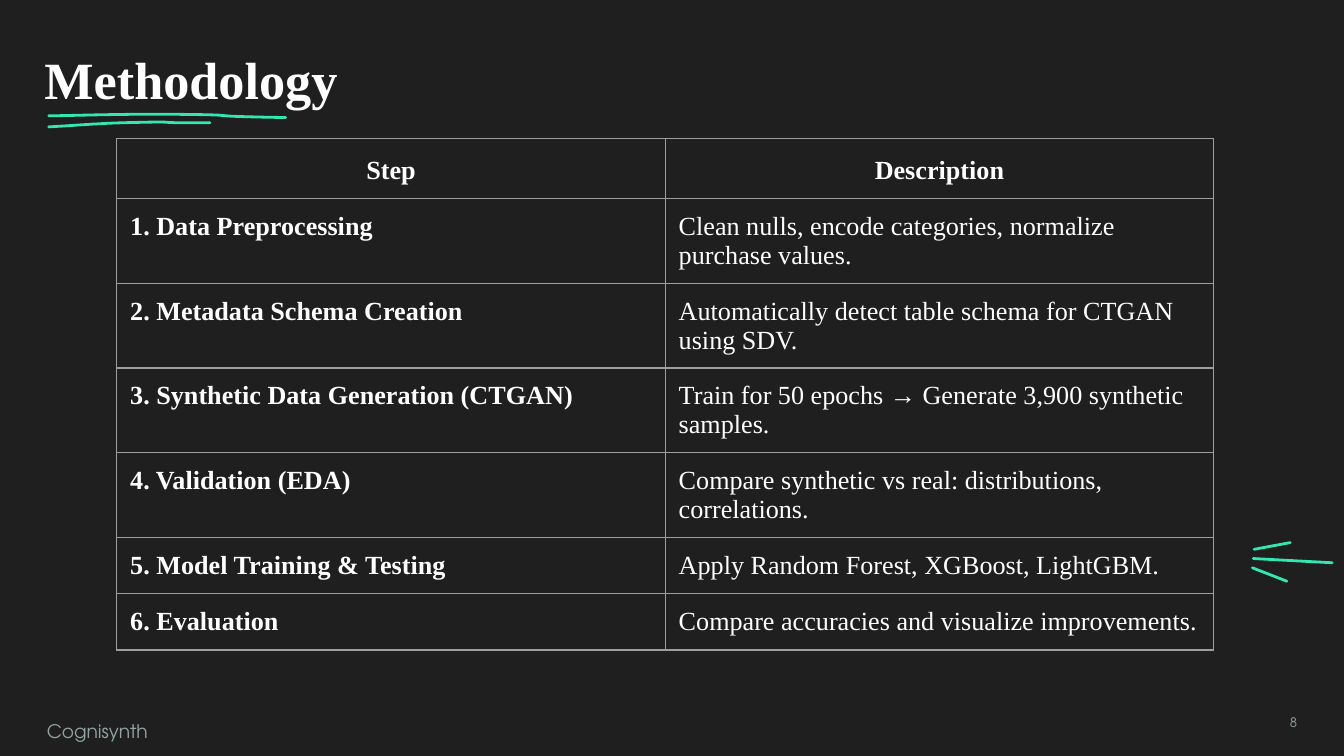
from dataclasses import dataclass

from lxml import etree
from pptx import Presentation
from pptx import util as u
from pptx.dml.color import RGBColor
from pptx.enum import shapes, text
from pptx.oxml import ns

PX = 5715


@dataclass(frozen=True)
class Theme:
    background: str = "1F1F1F"
    ink: str = "FFFFFF"
    muted: str = "93A2A2"
    accent: str = "30E8B0"
    border: str = "9E9E9E"
    serif: str = "Times New Roman"
    sans: str = "TeX Gyre Adventor"
    title_size: int = 28
    table_size: int = 14
    footer_size: int = 10
    number_size: int = 7
    stroke: float = 1.5
    border_width: float = 0.75
    inset: int = 16


THEME = Theme()

STEPS = [
    ("Step", "Description"),
    ("1. Data Preprocessing", "Clean nulls, encode categories, normalize purchase values."),
    ("2. Metadata Schema Creation", "Automatically detect table schema for CTGAN using SDV."),
    ("3. Synthetic Data Generation (CTGAN)", "Train for 50 epochs → Generate 3,900 synthetic samples."),
    ("4. Validation (EDA)", "Compare synthetic vs real: distributions, correlations."),
    ("5. Model Training & Testing", "Apply Random Forest, XGBoost, LightGBM."),
    ("6. Evaluation", "Compare accuracies and visualize improvements."),
]


def px(*values):
    return [u.Emu(round(value * PX)) for value in values]


def color(value):
    return RGBColor.from_string(value)


def write(frame, content, *, font=THEME.serif, size=THEME.table_size, ink=THEME.ink,
          bold=False, align=text.PP_ALIGN.LEFT, spacing=1.0):
    paragraph = frame.paragraphs[0]
    paragraph.alignment = align
    paragraph.line_spacing = spacing
    run = paragraph.add_run()
    run.text = content
    run.font.name = font
    run.font.size = u.Pt(size)
    run.font.bold = bold
    run.font.color.rgb = color(ink)


def set_insets(holder):
    inset = u.Emu(THEME.inset * PX)
    holder.margin_left = holder.margin_right = inset
    holder.margin_top = holder.margin_bottom = inset


def prepare_frame(frame):
    set_insets(frame)
    frame.word_wrap = True
    frame.auto_size = text.MSO_AUTO_SIZE.NONE
    frame.vertical_anchor = text.MSO_ANCHOR.TOP


def add_label(slide, box, content, **style):
    shape = slide.shapes.add_textbox(*px(*box))
    prepare_frame(shape.text_frame)
    write(shape.text_frame, content, **style)


def add_title(slide, box, content):
    title = slide.shapes.title
    title.left, title.top, title.width, title.height = px(*box)
    prepare_frame(title.text_frame)
    write(title.text_frame, content, size=THEME.title_size, bold=True)


def style_stroke(shape):
    shape.line.color.rgb = color(THEME.accent)
    shape.line.width = u.Pt(THEME.stroke)
    properties = shape.element.spPr
    properties.find(ns.qn("a:ln")).set("cap", "rnd")
    if properties.find(ns.qn("a:effectLst")) is None:
        etree.SubElement(properties, ns.qn("a:effectLst"))


def bezier(points, steps=16):
    for step in range(1, steps + 1):
        t = step / steps
        weights = ((1 - t) ** 3, 3 * t * (1 - t) ** 2, 3 * t * t * (1 - t), t ** 3)
        yield tuple(sum(w * point[axis] for w, point in zip(weights, points))
                    for axis in (0, 1))


def add_underline(slide, left, top):
    strokes = [
        [(0, 15), (37, 13), (56, 11), (93, 10), (174, 8), (109, 11), (192, 10)],
        [(0, 2), (53, 1), (83, 0), (136, 0), (256, 1), (158, 2), (282, 4)],
    ]
    group = slide.shapes.add_group_shape()
    for stroke in strokes:
        points = [px(left + x, top + y) for x, y in stroke]
        builder = group.shapes.build_freeform(*points[0])
        for start in (0, 3):
            builder.add_line_segments(list(bezier(points[start:start + 4])), close=False)
        shape = builder.convert_to_shape()
        shape.fill.background()
        style_stroke(shape)


def add_spark(slide, left, top):
    rays = [(0, 30, 41, 46), (1, 19, 95, 24), (2, 8, 45, 0)]
    group = slide.shapes.add_group_shape()
    for x1, y1, x2, y2 in rays:
        ends = px(left + x1, top + y1, left + x2, top + y2)
        style_stroke(group.shapes.add_connector(shapes.MSO_CONNECTOR.STRAIGHT, *ends))


def add_borders(cell):
    properties = cell._tc.get_or_add_tcPr()
    for index, side in enumerate(("lnL", "lnR", "lnT", "lnB")):
        line = etree.Element(ns.qn(f"a:{side}"), w=str(int(u.Pt(THEME.border_width))))
        fill = etree.SubElement(line, ns.qn("a:solidFill"))
        etree.SubElement(fill, ns.qn("a:srgbClr"), val=THEME.border)
        properties.insert(index, line)


def add_steps_table(slide, box, rows):
    table = slide.shapes.add_table(len(rows), len(rows[0]), *px(*box)).table
    table.first_row = table.horz_banding = False
    for row_index, row in enumerate(rows):
        header = row_index == 0
        for column_index, content in enumerate(row):
            cell = table.cell(row_index, column_index)
            cell.fill.background()
            set_insets(cell)
            add_borders(cell)
            write(cell.text_frame, content,
                  bold=header or column_index == 0,
                  align=text.PP_ALIGN.CENTER if header else text.PP_ALIGN.LEFT,
                  spacing=1.15 if header else 1.0)


def add_footer(slide, left, top, width):
    number_width = 384
    add_label(slide, (left, top, 195, 54), "Cognisynth", font=THEME.sans,
              size=THEME.footer_size, ink=THEME.muted, spacing=1.15)
    add_label(slide, (left + width - number_width, top - 2, number_width, 51), "8",
              font=THEME.sans, size=THEME.number_size, ink=THEME.muted,
              align=text.PP_ALIGN.RIGHT)


def main():
    presentation = Presentation()
    presentation.slide_width, presentation.slide_height = px(1600, 900)
    slide = presentation.slides.add_slide(presentation.slide_layouts[5])
    slide.background.fill.solid()
    slide.background.fill.fore_color.rgb = color(THEME.background)
    add_title(slide, (37, 40, 998, 107), "Methodology")
    add_spark(slide, 1491, 646)
    add_underline(slide, 58, 136)
    add_footer(slide, 40, 837, 1520)
    add_steps_table(slide, (139, 165, 1306, 469), STEPS)
    presentation.save("out.pptx")


if __name__ == "__main__":
    main()
